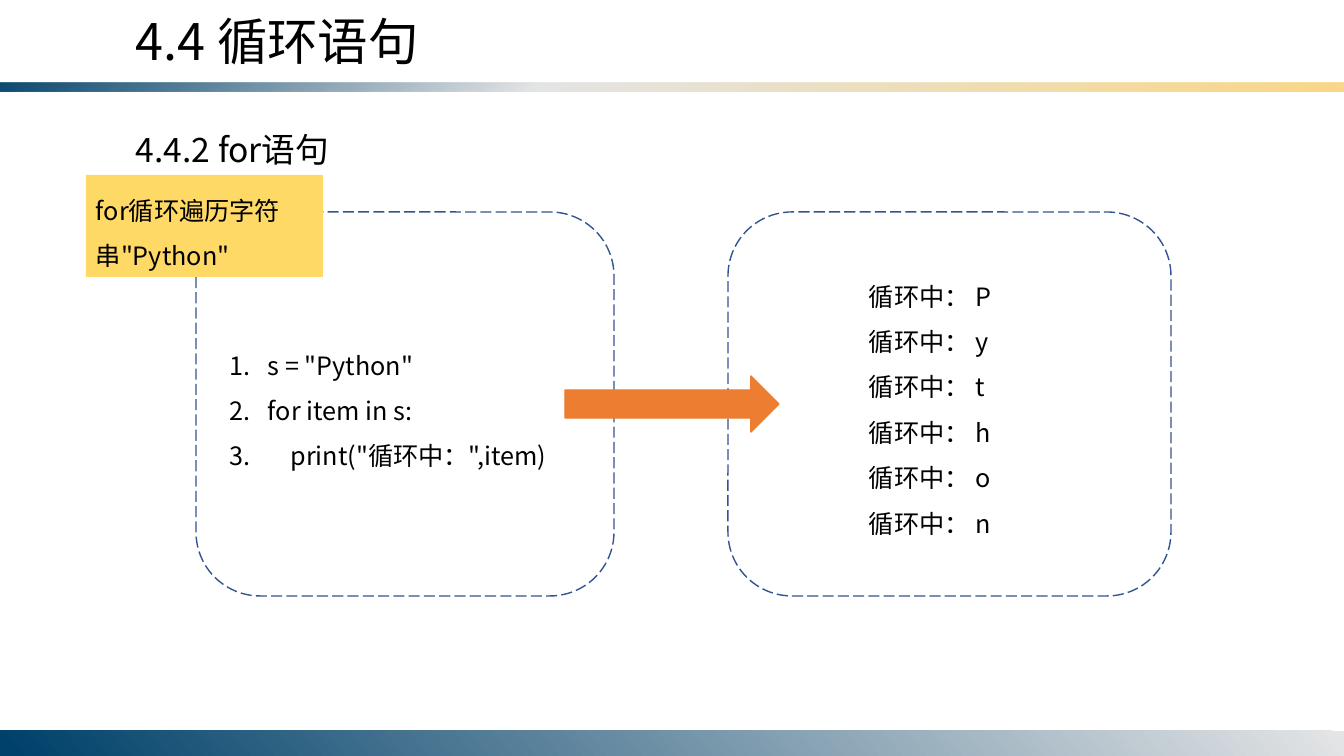
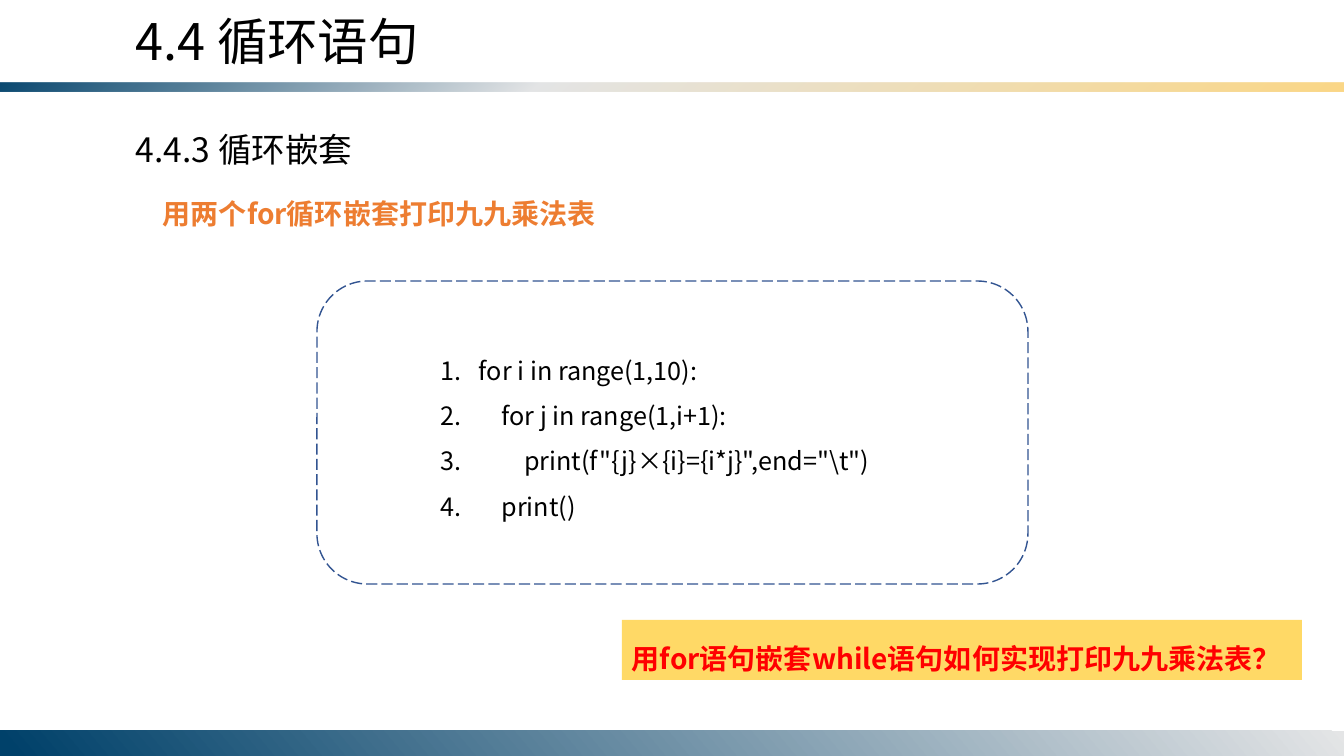
from lxml import etree
from pptx import Presentation
from pptx.dml.color import RGBColor as RGB
from pptx.enum.dml import MSO_LINE
from pptx.enum.shapes import MSO_SHAPE as SHAPE
from pptx.enum.text import MSO_ANCHOR as ANCHOR, MSO_AUTO_SIZE as FIT, PP_ALIGN as ALIGN
from pptx.oxml import parse_xml
from pptx.oxml.ns import nsdecls, qn
from pptx.util import Emu, Pt

W, H = 1344, 756
SCALE = 12192000 / W
FONT = "Noto Sans CJK SC"
C = {"black": "000000", "red": "FF0000", "orange": "ED7D31", "yellow": "FFD966",
     "outline": "325491", "navy": "00416A", "silver": "E4E5E6", "sand": "FBD786"}

# Text formats
TITLE = {"size": Pt(36)}
SUBTITLE = {"size": Pt(24)}
BODY = {"size": Pt(18)}
HINT = {"size": Pt(20), "bold": True}
BODY_SPACING = 1.5


def px(n):
    return Emu(round(n * SCALE))


def rgb(name):
    return RGB.from_string(C[name])


def add_shape(s, kind, box, fill=None, line=None):
    sp = s.shapes.add_shape(kind, *map(px, box))
    sp.shadow.inherit = False
    if fill:
        sp.fill.solid()
        sp.fill.fore_color.rgb = rgb(fill)
    else:
        sp.fill.background()
    if line:
        sp.line.color.rgb = rgb(line)
        sp.line.width = Pt(1)
    else:
        sp.line.fill.background()
    return sp


def number(p):
    pPr = p._p.get_or_add_pPr()
    pPr.set("marL", str(px(38)))
    pPr.set("indent", str(-px(38)))
    etree.SubElement(pPr, qn("a:buFont"), typeface="+mj-lt")
    etree.SubElement(pPr, qn("a:buAutoNum"), type="arabicPeriod")


def write(sp, lines, fmt, color="black", spacing=BODY_SPACING, numbered=False,
          indent=0, wrap=True):
    tf = sp.text_frame
    frame = {"word_wrap": wrap, "auto_size": FIT.SHAPE_TO_FIT_TEXT,
             "vertical_anchor": ANCHOR.TOP}
    for name, value in frame.items():
        setattr(tf, name, value)
    for i, line in enumerate(lines):
        p = tf.add_paragraph() if i else tf.paragraphs[0]
        p.alignment = ALIGN.LEFT
        p.line_spacing = spacing
        if numbered:
            number(p)
        if indent:
            p._p.get_or_add_pPr().set("indent", str(px(indent)))
        r = p.add_run()
        r.text = line
        for name, value in {"name": FONT, **fmt}.items():
            setattr(r.font, name, value)
        r.font.color.rgb = rgb(color)
        etree.SubElement(r._r.get_or_add_rPr(), qn("a:ea"), typeface=FONT)


def add_text(s, box, lines, fmt, **style):
    write(s.shapes.add_textbox(*map(px, box)), lines, fmt, **style)


def band(s, box, stops, angle):
    sp = add_shape(s, SHAPE.RECTANGLE, box)
    gs = "".join(
        f'<a:gs pos="{pos * 1000}"><a:srgbClr val="{C[color]}">'
        f'<a:alpha val="{alpha * 1000}"/></a:srgbClr></a:gs>'
        for pos, color, alpha in stops)
    grad = parse_xml(f'<a:gradFill {nsdecls("a")} rotWithShape="1"><a:gsLst>{gs}</a:gsLst>'
                     f'<a:lin ang="{angle * 60000}" scaled="0"/></a:gradFill>')
    spPr = sp._element.spPr
    spPr.replace(spPr.find(qn("a:noFill")), grad)


def base_slide(prs, subtitle):
    """Bands, chapter title and section title."""
    s = prs.slides.add_slide(prs.slide_layouts[6])
    band(s, (0, 83, W, 9), [(0, "navy", 95), (40, "silver", 100), (100, "sand", 100)], 50)
    band(s, (0, H - 25, W, 25), [(0, "silver", 100), (99, "navy", 100)], 140)
    add_text(s, (126, 5, 617, 72), ["4.4 循环语句"], TITLE, spacing=1.0)
    add_text(s, (126, 124, 259, 50), [subtitle], SUBTITLE, spacing=1.0)
    return s


def panel(s, box, lines, text_size, numbered=False):
    """Dashed frame with a text block centred in it."""
    x, y, w, h = box
    tw, th = text_size
    add_text(s, (x + (w - tw) // 2, y + (h - th) // 2, tw, th), lines, BODY,
             numbered=numbered)
    frame = add_shape(s, SHAPE.ROUNDED_RECTANGLE, box, line="outline")
    frame.line.dash_style = MSO_LINE.LONG_DASH


def callout(s, box, text, fmt, **style):
    write(add_shape(s, SHAPE.RECTANGLE, box, fill="yellow"), [text], fmt, **style)


def for_slide(prs):
    s = base_slide(prs, "4.4.2 for语句")
    # Code and its output
    panel(s, (196, 212, 418, 384),
          ['s = "Python"', "for item in s:", '    print("循环中：",item)'],
          (369, 147), numbered=True)
    panel(s, (728, 212, 443, 384), [f"循环中： {c}" for c in "Python"], (180, 285))
    add_shape(s, SHAPE.RIGHT_ARROW, (565, 376, 214, 56), fill="orange", line="orange")
    callout(s, (86, 175, 237, 102), 'for循环遍历字符串"Python"', BODY)


def nesting_slide(prs):
    s = base_slide(prs, "4.4.3 循环嵌套")
    add_text(s, (97, 175, 560, 60), ["用两个for循环嵌套打印九九乘法表"], HINT,
             color="orange", indent=56)
    # Nested loop code
    panel(s, (317, 281, 711, 303),
          ["for i in range(1,10):",
           "    for j in range(1,i+1):",
           r'        print(f"{j}×{i}={i*j}",end="\t")',
           "    print()"],
          (483, 194), numbered=True)
    # Question
    callout(s, (622, 620, 680, 60), "用for语句嵌套while语句如何实现打印九九乘法表？", HINT,
            color="red", wrap=False)


def main():
    prs = Presentation()
    prs.slide_width, prs.slide_height = px(W), px(H)
    for_slide(prs)
    nesting_slide(prs)
    prs.save("out.pptx")


if __name__ == "__main__":
    main()
